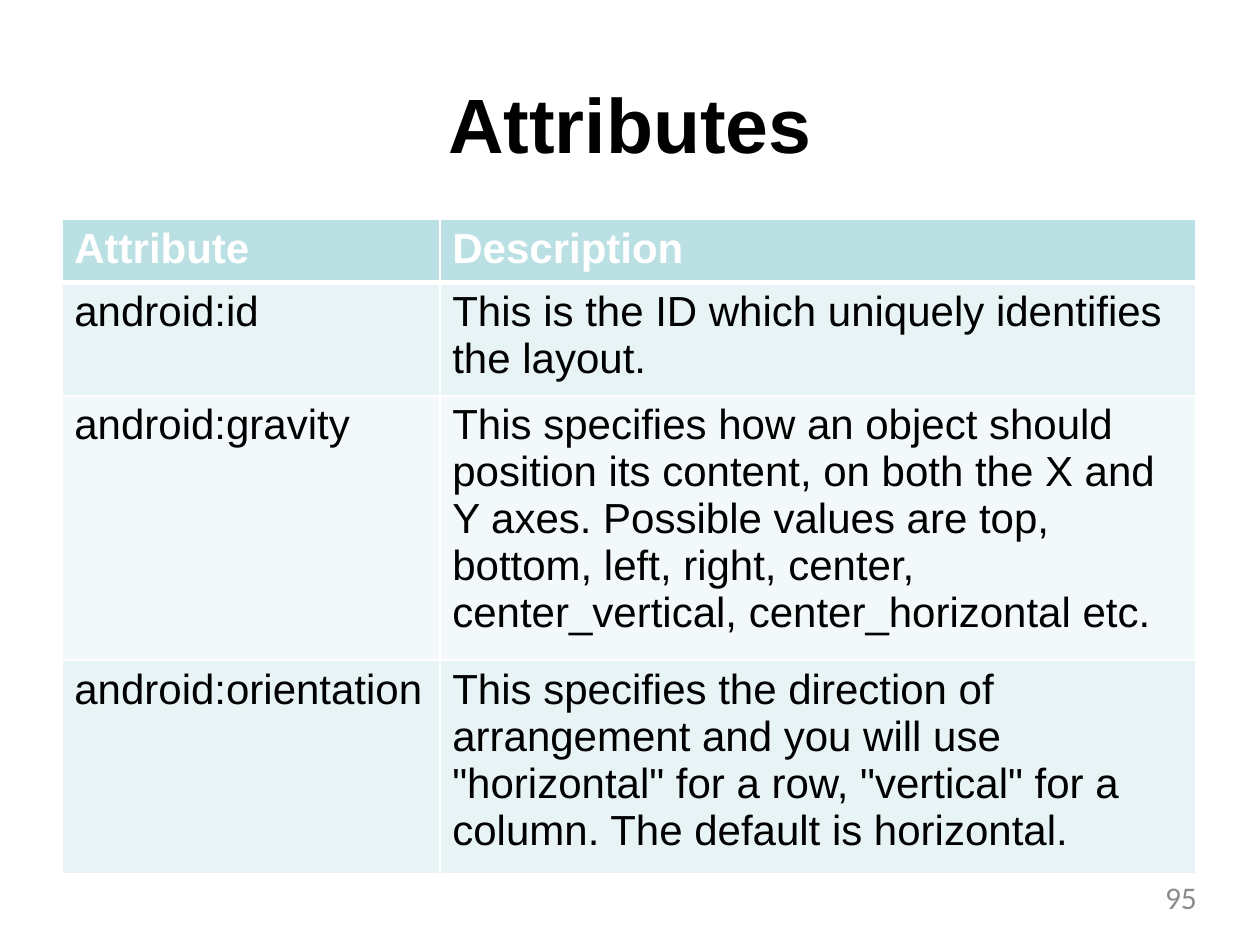
import pptx
import pptx.dml.color
import pptx.enum.text
import pptx.oxml.ns
import pptx.util
from lxml import etree

COLORS = {
    "black": "000000",
    "white": "FFFFFF",
    "header": "BAE0E3",
    "odd_row": "E7F3F4",
    "even_row": "F3F9FA",
    "number": "8C8C8C",
}
COLUMN_WIDTHS = (3, 6)
ROW_HEIGHTS = (0.5, 0.9, 2.1, 1.7)
ROWS = (
    ("Attribute", "Description"),
    ("android:id", "This is the ID which uniquely identifies the layout."),
    ("android:gravity",
     "This specifies how an object should position its content, on both the X and Y axes. "
     "Possible values are top, bottom, left, right, center, center_vertical, "
     "center_horizontal etc."),
    ("android:orientation",
     "This specifies the direction of arrangement and you will use \"horizontal\" for a row, "
     "\"vertical\" for a column. The default is horizontal."),
)


def rgb(name):
    return pptx.dml.color.RGBColor.from_string(COLORS[name])


def inches(*values):
    return [pptx.util.Inches(value) for value in values]


def format_text(text_frame, size, color, bold=False, font="Arial"):
    for paragraph in text_frame.paragraphs:
        for run in paragraph.runs:
            run.font.name = font
            run.font.size = pptx.util.Pt(size)
            run.font.bold = bold
            run.font.color.rgb = rgb(color)


def set_insets(target, left=0, top=0, right=0, bottom=0):
    (target.margin_left, target.margin_top,
     target.margin_right, target.margin_bottom) = inches(left, top, right, bottom)


def add_title(slide, text):
    title = slide.shapes.title
    title.left, title.top, title.width, title.height = inches(3.54, 0.53, 2.92, 0.76)
    frame = title.text_frame
    frame.text = text
    frame.auto_size = pptx.enum.text.MSO_AUTO_SIZE.NONE
    frame.vertical_anchor = pptx.enum.text.MSO_ANCHOR.TOP
    frame.word_wrap = False
    set_insets(frame, top=0.08)
    frame.paragraphs[0].alignment = pptx.enum.text.PP_ALIGN.CENTER
    format_text(frame, 44, "black", bold=True)


def add_border(cell, side, width):
    properties = cell._tc.get_or_add_tcPr()
    line = etree.SubElement(properties, pptx.oxml.ns.qn(f"a:ln{side}"),
                            w=str(pptx.util.Pt(width)))
    fill = etree.SubElement(line, pptx.oxml.ns.qn("a:solidFill"))
    etree.SubElement(fill, pptx.oxml.ns.qn("a:srgbClr"), val=COLORS["white"])


def format_cell(cell, text, row):
    is_header = row == 0
    cell.text = text
    set_insets(cell, left=0.1, top=0.05, right=0.1)
    format_text(cell.text_frame, 24, "white" if is_header else "black", bold=is_header)
    widths = {"L": 1.5, "R": 1.5, "T": 3 if row == 1 else 1.5, "B": 3 if is_header else 1.5}
    for side, width in widths.items():
        add_border(cell, side, width)
    cell.fill.solid()
    cell.fill.fore_color.rgb = rgb(
        "header" if is_header else "odd_row" if row % 2 else "even_row")


def add_attribute_table(slide):
    table = slide.shapes.add_table(
        len(ROWS), len(COLUMN_WIDTHS),
        *inches(0.49, 1.74, sum(COLUMN_WIDTHS), sum(ROW_HEIGHTS))).table
    for column, width in zip(table.columns, COLUMN_WIDTHS):
        column.width = pptx.util.Inches(width)
    for row, height in enumerate(ROW_HEIGHTS):
        table.rows[row].height = pptx.util.Inches(height)
        for column, text in enumerate(ROWS[row]):
            format_cell(table.cell(row, column), text, row)


def add_page_number(slide, number):
    frame = slide.shapes.add_textbox(*inches(7.2, 6.97, 2.3, 0.38)).text_frame
    frame.word_wrap = True
    set_insets(frame)
    frame.text = number
    frame.paragraphs[0].alignment = pptx.enum.text.PP_ALIGN.RIGHT
    format_text(frame, 18, "number", font="Calibri")


def main():
    """Build the attributes slide and save it."""
    presentation = pptx.Presentation()
    presentation.slide_width, presentation.slide_height = inches(10, 7.5)
    slide = presentation.slides.add_slide(presentation.slide_layouts.get_by_name("Title Only"))
    add_title(slide, "Attributes")
    add_attribute_table(slide)
    add_page_number(slide, "95")
    presentation.save("out.pptx")


if __name__ == "__main__":
    main()
